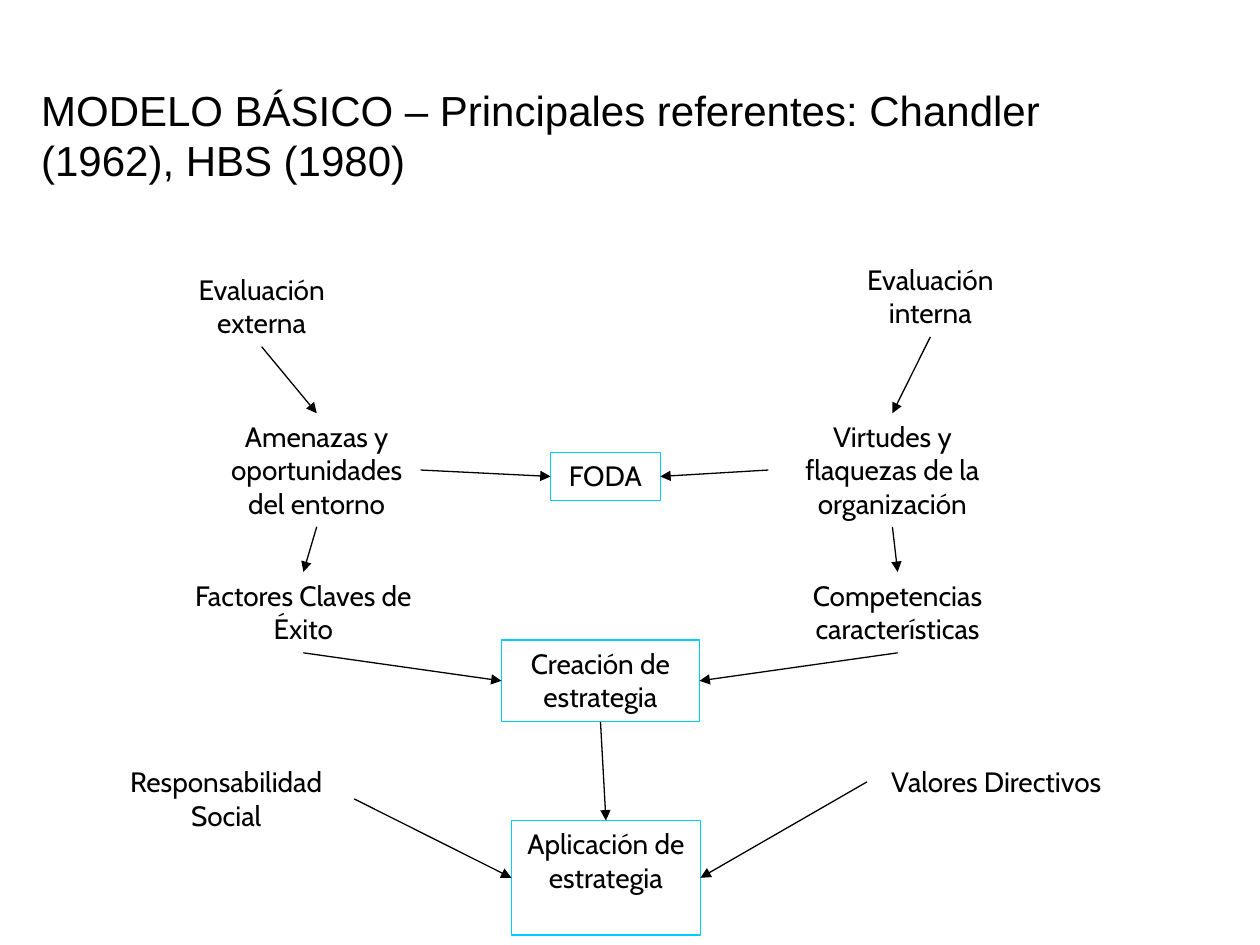
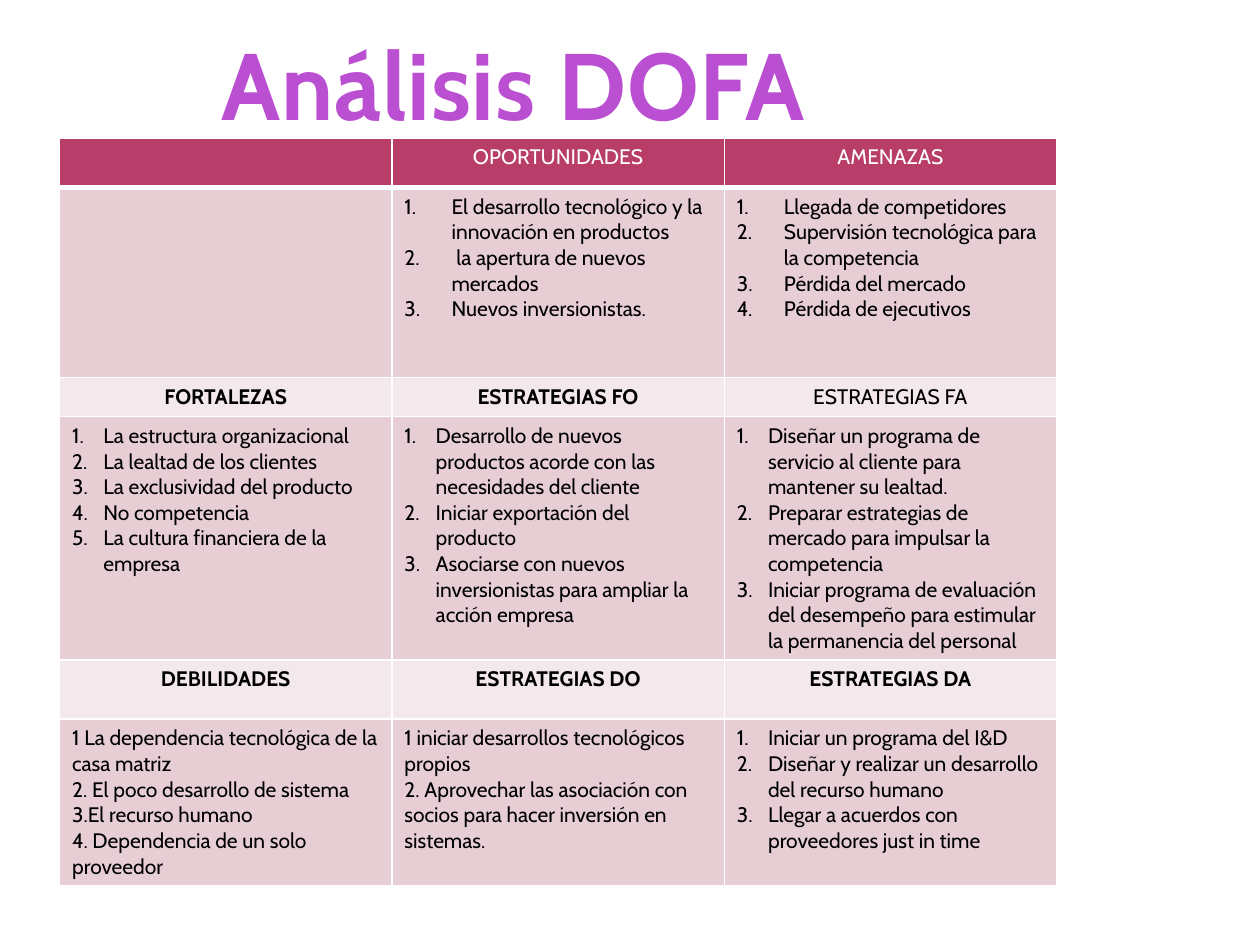
from lxml import etree
from pptx import Presentation
from pptx import util as u
from pptx.dml import color as dml
from pptx.enum import shapes, text
from pptx.oxml import ns

BLACK, WHITE, CYAN = "000000", "FFFFFF", "00CCFF"
PURPLE, DEEP_PURPLE = "BB4FD2", "863598"
CRIMSON, ROSE, PALE_ROSE = "B83D68", "E6CED4", "F3E8EB"
BODY_FONT, TITLE_FONT = "Cabin", "Arial"
TOP, LEFT, BOTTOM, RIGHT = range(4)

NODES = {
    "externa": ("Evaluación externa", 1.2, 0.2, 4.19, 1.63),
    "interna": ("Evaluación interna", 14.68, 0, 4.19, 1.63),
    "amenazas": ("Amenazas y oportunidades del entorno", 2.31, 3.17, 4.19, 2.29),
    "virtudes": ("Virtudes y flaquezas de la organización", 13.51, 3.17, 5, 2.29),
    "factores": ("Factores Claves de Éxito", 1.53, 6.37, 5.21, 1.63),
    "competencias": ("Competencias características", 13.51, 6.37, 5.21, 1.63),
    "creación": ("Creación de estrategia", 8.13, 7.74, 3.99, 1.65),
    "foda": ("FODA", 9.12, 3.96, 2.21, 0.97),
    "responsabilidad": ("Responsabilidad Social", 0, 10.13, 5.16, 1.63),
    "valores": ("Valores Directivos", 15.5, 10.13, 5.21, 0.94),
    "aplicación": ("Aplicación de estrategia", 8.33, 11.38, 3.81, 2.31),
}
FRAMED = {"foda", "creación", "aplicación"}
ARROWS = [
    ("interna", BOTTOM, "virtudes", TOP),
    ("virtudes", LEFT, "foda", RIGHT),
    ("amenazas", BOTTOM, "factores", TOP),
    ("virtudes", BOTTOM, "competencias", TOP),
    ("competencias", BOTTOM, "creación", RIGHT),
    ("factores", BOTTOM, "creación", LEFT),
    ("externa", BOTTOM, "amenazas", TOP),
    ("amenazas", RIGHT, "foda", LEFT),
    ("responsabilidad", RIGHT, "aplicación", LEFT),
    ("valores", LEFT, "aplicación", RIGHT),
    ("creación", BOTTOM, "aplicación", TOP),
]

HEADER = dict(fill=CRIMSON, color=WHITE, centred=True)
BAND = dict(fill=PALE_ROSE, centred=True, bold=True)
LIGHT_BAND = dict(fill=PALE_ROSE, centred=True)
PLAIN = dict(fill=ROSE)
NUMBERED = dict(fill=ROSE, indent=0.63)
WIDE_NUMBERED = dict(fill=ROSE, indent=0.95)
MATRIX = [
    (1.0, [
        (HEADER, []),
        (HEADER, ["OPORTUNIDADES"]),
        (HEADER, ["AMENAZAS"]),
    ]),
    (3.83, [
        (PLAIN, []),
        (WIDE_NUMBERED, ["El desarrollo tecnológico y la innovación en productos",
                         " la apertura de nuevos mercados",
                         "Nuevos inversionistas."]),
        (WIDE_NUMBERED, ["Llegada de competidores",
                         "Supervisión tecnológica para la competencia",
                         "Pérdida del mercado",
                         "Pérdida de ejecutivos"]),
    ]),
    (0.79, [
        (BAND, ["FORTALEZAS"]),
        (BAND, ["ESTRATEGIAS FO"]),
        (LIGHT_BAND, ["ESTRATEGIAS FA"]),
    ]),
    (4.9, [
        (NUMBERED, ["La estructura organizacional",
                    "La lealtad de los clientes",
                    "La exclusividad del producto",
                    "No competencia",
                    "La cultura financiera de la empresa"]),
        (NUMBERED, ["Desarrollo de nuevos productos acorde con las necesidades del cliente",
                    "Iniciar exportación del producto",
                    "Asociarse con nuevos inversionistas para ampliar la acción empresa"]),
        (NUMBERED, ["Diseñar un programa de servicio al cliente para mantener su lealtad.",
                    "Preparar estrategias de mercado para impulsar la competencia",
                    "Iniciar programa de evaluación del desempeño para estimular "
                    "la permanencia del personal"]),
    ]),
    (1.19, [
        (BAND, ["DEBILIDADES"]),
        (BAND, ["ESTRATEGIAS DO"]),
        (BAND, ["ESTRATEGIAS DA"]),
    ]),
    (3.35, [
        (PLAIN, ["1 La dependencia tecnológica de la casa matriz",
                 "2. El poco desarrollo de sistema",
                 "3.El recurso humano",
                 "4. Dependencia de un solo proveedor"]),
        (PLAIN, ["1 iniciar desarrollos tecnológicos propios",
                 "2. Aprovechar las asociación con socios para hacer inversión en sistemas."]),
        (NUMBERED, ["Iniciar un programa del I&D",
                    "Diseñar y realizar un desarrollo del recurso humano",
                    "Llegar a acuerdos con proveedores just in time"]),
    ]),
]


def rgb(value):
    """Turn a hex string into a colour."""
    return dml.RGBColor.from_string(value)


def child(parent, tag, **attributes):
    """Append a drawing element to its parent."""
    return etree.SubElement(parent, ns.qn(tag), attributes)


def write(para, words, size=16, font=BODY_FONT, color=BLACK, bold=False,
          centred=False, indent=0):
    """Write one formatted run, numbered when it has an indent."""
    para.alignment = text.PP_ALIGN.CENTER if centred else text.PP_ALIGN.LEFT
    if indent:
        properties = para._p.get_or_add_pPr()
        properties.set("marL", str(u.Cm(indent)))
        properties.set("indent", str(-u.Cm(indent)))
        child(properties, "a:buAutoNum", type="arabicPeriod")
    span = para.add_run()
    span.text = words
    span.font.name, span.font.size, span.font.bold = font, u.Pt(size), bold
    span.font.color.rgb = rgb(color)
    return span


def add_text(page, words, left, top, width, height, frame=None, **style):
    """Place a text box, or a framed rectangle when a frame colour is given."""
    place = [u.Cm(length) for length in (left, top, width, height)]
    if frame:
        box = page.shapes.add_shape(shapes.MSO_SHAPE.RECTANGLE, *place)
        box.shadow.inherit = False
        box.fill.background()
        box.line.color.rgb = rgb(frame)
        box.line.width = u.Pt(0.75)
    else:
        box = page.shapes.add_textbox(*place)
    box.text_frame.word_wrap = True
    box.text_frame.vertical_anchor = text.MSO_ANCHOR.TOP
    return box, write(box.text_frame.paragraphs[0], words, **style)


def add_arrow(page, start, start_side, end, end_side):
    """Join the sides of two boxes with an arrow."""
    arrow = page.shapes.add_connector(shapes.MSO_CONNECTOR.STRAIGHT, 0, 0, 0, 0)
    arrow.begin_connect(start, start_side)
    arrow.end_connect(end, end_side)
    arrow.line.color.rgb = rgb(BLACK)
    arrow.line.width = u.Pt(0.75)
    child(arrow.line._get_or_add_ln(), "a:tailEnd", type="triangle")
    child(arrow._element.spPr, "a:effectLst")


def draw_flow(page, left, top):
    """Draw the strategy flow from its top left corner."""
    boxes = {}
    for name, (words, across, down, width, height) in NODES.items():
        frame = CYAN if name in FRAMED else None
        boxes[name], _ = add_text(page, words, left + across, top + down,
                                  width, height, frame, centred=True)
    for start, start_side, end, end_side in ARROWS:
        add_arrow(page, boxes[start], start_side, boxes[end], end_side)


def set_borders(cell, **widths):
    """Give the cell white borders of the given point widths."""
    properties = cell._tc.get_or_add_tcPr()
    for side in "LRTB":
        line = child(properties, f"a:ln{side}", w=str(u.Pt(widths.get(side, 1))))
        child(child(line, "a:solidFill"), "a:srgbClr", val=WHITE)


def fill_cell(cell, lines, fill, **style):
    """Colour a cell and write its lines."""
    cell.fill.solid()
    cell.fill.fore_color.rgb = rgb(fill)
    frame = cell.text_frame
    frame.paragraphs[0].font.size = u.Pt(12)
    for index, words in enumerate(lines):
        para = frame.add_paragraph() if index else frame.paragraphs[0]
        write(para, words, size=12, **style)


def draw_matrix(page, left, top, width):
    """Draw the strategy matrix from its top left corner."""
    height = sum(row_height for row_height, _ in MATRIX)
    table = page.shapes.add_table(len(MATRIX), 3, u.Cm(left), u.Cm(top),
                                  u.Cm(width), u.Cm(height)).table
    table.horz_banding = False
    for row, (row_height, cells) in enumerate(MATRIX):
        table.rows[row].height = u.Cm(row_height)
        borders = {0: {"B": 3}, 1: {"T": 3}}.get(row, {})
        for column, (style, lines) in enumerate(cells):
            cell = table.cell(row, column)
            set_borders(cell, **borders)
            fill_cell(cell, lines, **style)


def draw_matrix_title(page, left, top, width, height):
    """Write the matrix title in a purple gradient."""
    _, span = add_text(page, "Análisis DOFA", left, top, width, height,
                       size=54, bold=True, centred=True)
    span._r.get_or_add_rPr().set("spc", "50")
    fill = span.font.fill
    fill.gradient()
    fill.gradient_angle = 270
    stops = ((0.25, PURPLE), (1, DEEP_PURPLE))
    for stop, (position, color) in zip(fill.gradient_stops, stops):
        stop.position = position
        stop.color.rgb = rgb(color)


def main():
    """Build both slides and save the deck."""
    deck = Presentation()
    deck.slide_width, deck.slide_height = u.Cm(25.4), u.Cm(19.05)
    blank = deck.slide_layouts[6]

    model = deck.slides.add_slide(blank)
    add_text(model, "MODELO BÁSICO – Principales referentes: Chandler (1962), HBS (1980)",
             0.58, 1.57, 21.41, 2.31, size=24, font=TITLE_FONT)
    draw_flow(model, 1.98, 5.16)

    analysis = deck.slides.add_slide(blank)
    draw_matrix(analysis, 1.2, 2.78, 20.1)
    draw_matrix_title(analysis, 3.58, 0.41, 13.54, 2.57)
    deck.save("out.pptx")


if __name__ == "__main__":
    main()
